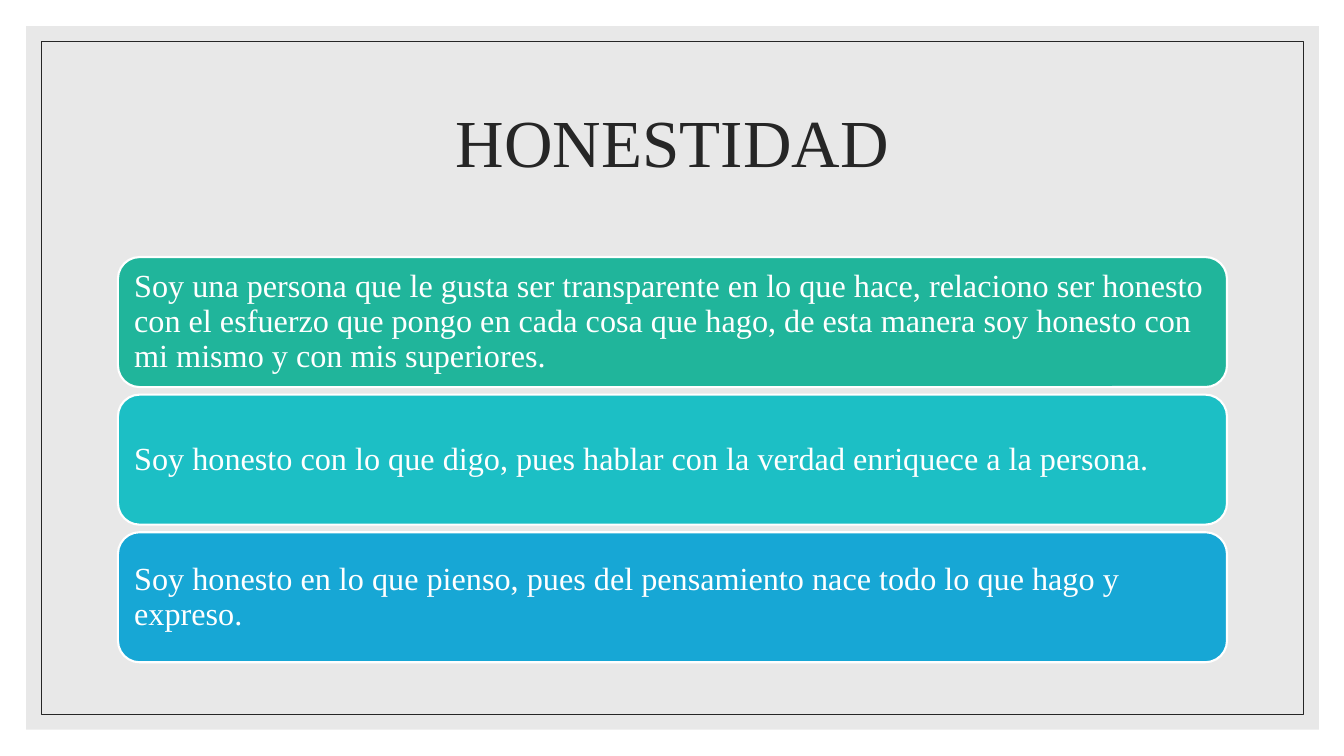
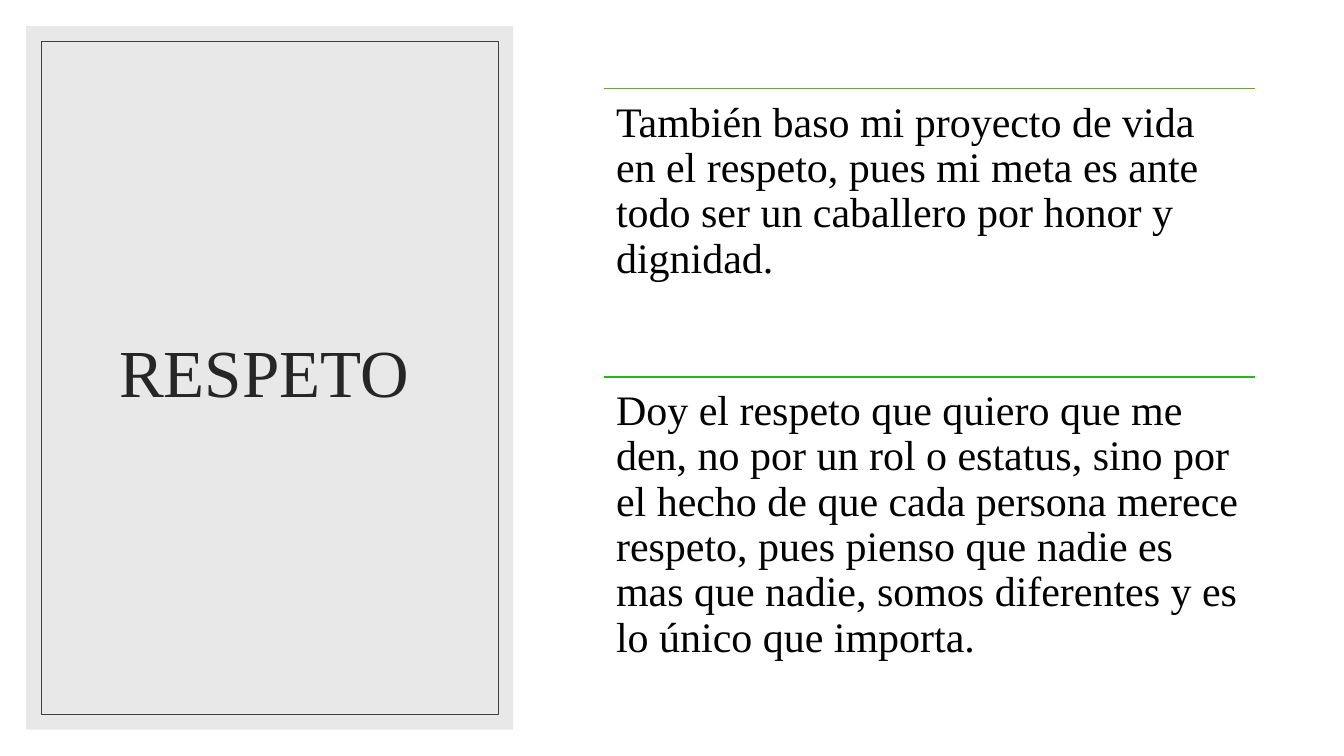
from lxml import etree
from pptx import Presentation
from pptx.dml.color import RGBColor
from pptx.enum import shapes, text
from pptx.oxml.ns import qn
from pptx.util import Inches, Pt

FONT = "Times New Roman"
WHITE = RGBColor(0xFF, 0xFF, 0xFF)
BLACK = RGBColor(0, 0, 0)
PANEL_GRAY = RGBColor(0xD9, 0xD9, 0xD9)
TITLE_GRAY = RGBColor(0x26, 0x26, 0x26)
FRAME_GRAY = RGBColor(0x40, 0x40, 0x40)
TEAL = RGBColor(0x20, 0xB5, 0x9B)
TURQUOISE = RGBColor(0x1C, 0xBF, 0xC5)
BLUE = RGBColor(0x17, 0xA7, 0xD5)
GREEN = RGBColor(0x58, 0xB5, 0x14)
BRIGHT_GREEN = RGBColor(0x22, 0xB9, 0x21)

MARGIN = 0.26
PANEL_HEIGHT = 6.98
FRAME_INSET = 0.15

HONESTY_CARDS = [
    (TEAL, "Soy una persona que le gusta ser transparente en lo que hace, "
           "relaciono ser honesto con el esfuerzo que pongo en cada cosa que "
           "hago, de esta manera soy honesto con mi mismo y con mis superiores."),
    (TURQUOISE, "Soy honesto con lo que digo, pues hablar con la verdad "
                "enriquece a la persona."),
    (BLUE, "Soy honesto en lo que pienso, pues del pensamiento nace todo lo "
           "que hago y expreso."),
]
RESPECT_ITEMS = [
    (GREEN, "También baso mi proyecto de vida en el respeto, pues mi meta es "
            "ante todo ser un caballero por honor y dignidad."),
    (BRIGHT_GREEN, "Doy el respeto que quiero que me den, no por un rol o "
                   "estatus, sino por el hecho de que cada persona merece "
                   "respeto, pues pienso que nadie es mas que nadie, somos "
                   "diferentes y es lo único que importa."),
]


def write(shape, words, size, color, anchor, align=text.PP_ALIGN.LEFT, inset=None):
    """Fill a shape with one paragraph in the deck's font."""
    frame = shape.text_frame
    frame.word_wrap = True
    frame.vertical_anchor = anchor
    if inset is not None:
        frame.margin_left = frame.margin_right = Inches(inset)
        frame.margin_top = frame.margin_bottom = Inches(inset)
    frame.text = words
    para = frame.paragraphs[0]
    para.alignment = align
    para.line_spacing = 0.9
    font = para.runs[0].font
    font.name, font.size = FONT, Pt(size)
    font.color.rgb = color


def add_box(page, kind, left, top, width, height, fill=None, line=None, weight=0.5):
    box = page.shapes.add_shape(kind, Inches(left), Inches(top),
                                Inches(width), Inches(height))
    box.shadow.inherit = False
    if fill is None:
        box.fill.background()
    else:
        box.fill.solid()
        box.fill.fore_color.rgb = fill
    if line is None:
        box.line.fill.background()
    else:
        box.line.color.rgb = line
        box.line.width = Pt(weight)
    return box


def add_panel(page, width, frame_color):
    """Translucent gray panel with a thin frame inside it."""
    rectangle = shapes.MSO_SHAPE.RECTANGLE
    panel = add_box(page, rectangle, MARGIN, MARGIN, width, PANEL_HEIGHT, PANEL_GRAY)
    color = panel.fill._xPr.find(qn("a:solidFill"))[0]
    etree.SubElement(color, qn("a:alpha"), val="60000")
    start = MARGIN + FRAME_INSET
    add_box(page, rectangle, start, start, width - 2 * FRAME_INSET,
            PANEL_HEIGHT - 2 * FRAME_INSET, line=frame_color)


def add_textbox(page, left, top, width, height):
    return page.shapes.add_textbox(Inches(left), Inches(top),
                                   Inches(width), Inches(height))


def add_title(page, words, left, top, width, height):
    box = add_textbox(page, left, top, width, height)
    write(box, words, 48, TITLE_GRAY, text.MSO_ANCHOR.MIDDLE, text.PP_ALIGN.CENTER)


def add_rule(page, left, top, width, color):
    rule = page.shapes.add_connector(
        shapes.MSO_CONNECTOR.STRAIGHT, Inches(left), Inches(top),
        Inches(left + width), Inches(top))
    rule.line.color.rgb = color
    rule.line.width = Pt(1)
    etree.SubElement(rule.line._get_or_add_ln().getparent(), qn("a:effectLst"))


def add_cards(page, cards, left, top, width, total_height, card_height):
    """Rounded cards spread evenly over the total height."""
    step = (total_height - card_height) / (len(cards) - 1)
    for index, (color, words) in enumerate(cards):
        card = add_box(page, shapes.MSO_SHAPE.ROUNDED_RECTANGLE, left,
                       top + index * step, width, card_height, color, WHITE, 1.5)
        write(card, words, 23, WHITE, text.MSO_ANCHOR.MIDDLE, inset=0.1)


def add_ruled_items(page, items, left, top, width, height):
    """Stacked texts, each under a coloured rule."""
    for index, (color, words) in enumerate(items):
        y = top + index * height
        add_rule(page, left, y, width, color)
        box = add_textbox(page, left, y, width, height)
        write(box, words, 30, BLACK, text.MSO_ANCHOR.TOP, inset=0.12)


def add_page(deck):
    page = deck.slides.add_slide(deck.slide_layouts[6])
    page.background.fill.solid()
    page.background.fill.fore_color.rgb = WHITE
    return page


def main():
    deck = Presentation()
    deck.slide_width, deck.slide_height = Inches(13.33), Inches(7.5)

    # Honesty: full-width panel with three cards
    page = add_page(deck)
    add_panel(page, 12.82, TITLE_GRAY)
    add_title(page, "HONESTIDAD", 1.17, 0.7, 11, 1.5)
    add_cards(page, HONESTY_CARDS, 1.17, 2.55, 11, 4.02, 1.29)

    # Respect: side panel with two ruled texts
    page = add_page(deck)
    add_panel(page, 4.83, FRAME_GRAY)
    add_title(page, "RESPETO", 0.56, 0.61, 4.12, 6.24)
    add_ruled_items(page, RESPECT_ITEMS, 5.99, 0.88, 6.46, 2.86)

    deck.save("out.pptx")


main()
